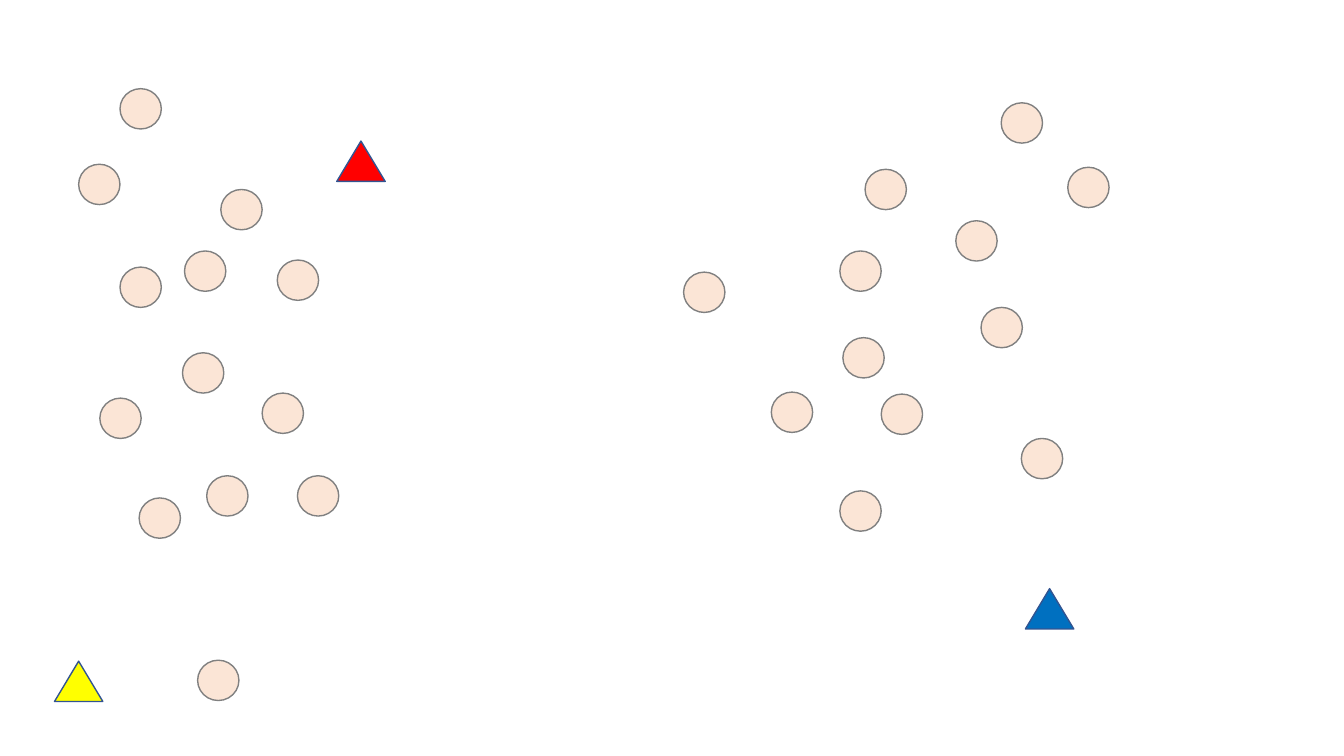
from pptx import Presentation
from pptx.dml.color import RGBColor
from pptx.enum.shapes import MSO_SHAPE as Preset
from pptx.util import Inches, Pt

COLOURS = {
    "point": "FBE5D6",
    "point_line": "808080",
    "red": "FF0000",
    "blue": "0070C0",
    "yellow": "FFFF00",
    "centre_line": "325491",
}

# Left and top of each data point, in inches
LEFT_POINTS = [
    (2.75, 2.58), (1.19, 2.65), (1.81, 3.5), (0.99, 3.95), (1.83, 2.49),
    (2.19, 1.88), (1.96, 6.55), (1.38, 4.94), (2.05, 4.72), (2.6, 3.9),
    (2.95, 4.72), (1.19, 0.88), (0.78, 1.63),
]
RIGHT_POINTS = [
    (8.36, 3.35), (8.58, 1.68), (6.78, 2.7), (8.33, 2.49), (7.65, 3.89),
    (8.33, 4.87), (8.74, 3.91), (10.13, 4.35), (9.48, 2.19), (9.93, 1.02),
    (9.73, 3.05), (10.59, 1.66),
]
# Left, top and colour of each cluster centre
CENTRES = [(3.34, 1.4, "red"), (10.17, 5.84, "blue"), (0.54, 6.56, "yellow")]


class ClusterPage:
    """Draws data points and cluster centres on one page."""

    height = 0.4
    point_width = 0.41
    centre_width = 0.48
    line_width = 1

    def __init__(self, page):
        self.page = page

    def marker(self, preset, left, top, width, fill, line):
        shape = self.page.shapes.add_shape(
            preset, Inches(left), Inches(top), Inches(width), Inches(self.height))
        shape.shadow.inherit = False
        shape.fill.solid()
        shape.fill.fore_color.rgb = RGBColor.from_string(COLOURS[fill])
        shape.line.color.rgb = RGBColor.from_string(COLOURS[line])
        shape.line.width = Pt(self.line_width)

    def point(self, left, top):
        self.marker(Preset.OVAL, left, top, self.point_width, "point", "point_line")

    def centre(self, left, top, colour):
        self.marker(Preset.ISOSCELES_TRIANGLE, left, top, self.centre_width,
                    colour, "centre_line")


def main():
    deck = Presentation()
    deck.slide_width, deck.slide_height = Inches(13.33), Inches(7.5)
    clusters = ClusterPage(deck.slides.add_slide(deck.slide_layouts[6]))

    # Data points
    for left, top in LEFT_POINTS + RIGHT_POINTS:
        clusters.point(left, top)

    # Cluster centres
    for left, top, colour in CENTRES:
        clusters.centre(left, top, colour)

    deck.save("out.pptx")


if __name__ == "__main__":
    main()
